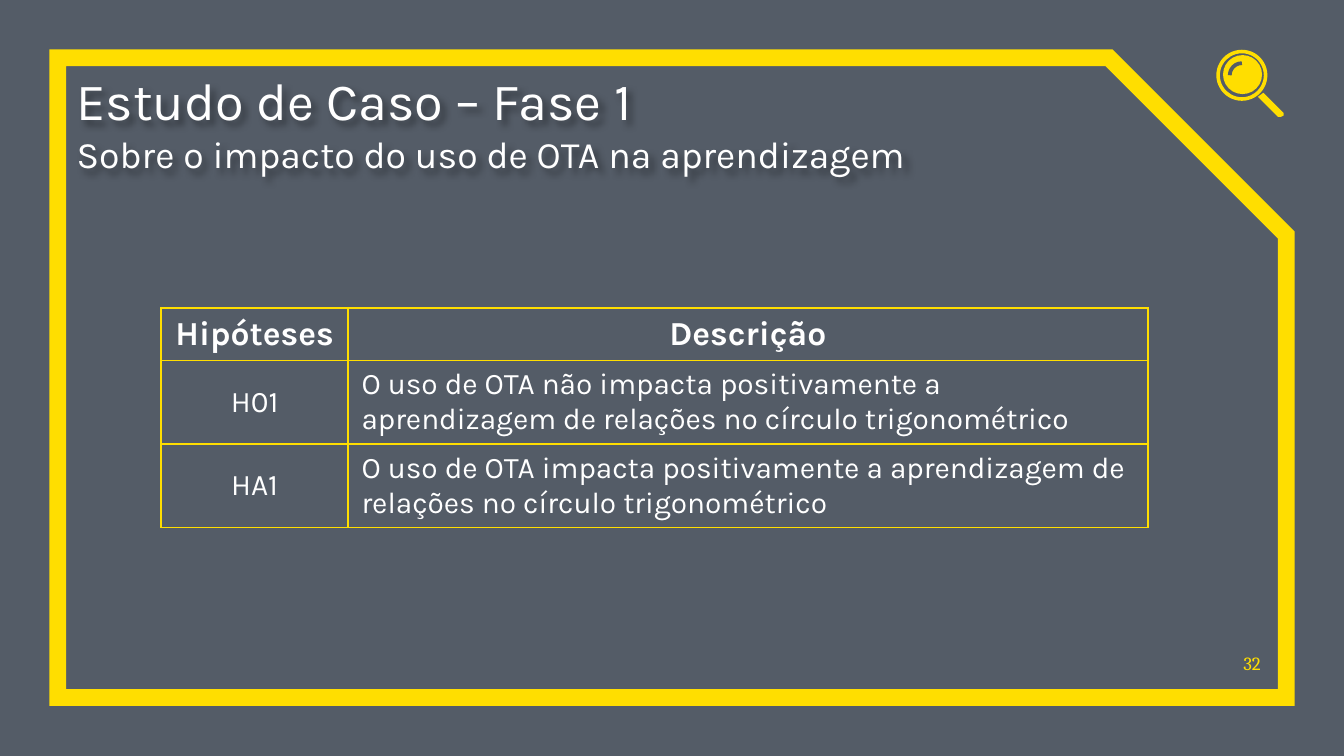
from lxml.etree import SubElement
from pptx import Presentation
from pptx.dml.color import RGBColor
from pptx.enum.shapes import MSO_SHAPE
from pptx.enum.text import MSO_ANCHOR, PP_ALIGN
from pptx.oxml import parse_xml
from pptx.oxml.ns import nsdecls, qn
from pptx.util import Inches, Pt

YELLOW = "FFDE00"
WHITE = "FFFFFF"
NAVY = "040F20"
SLATE = "545C67"
SLIDE_WIDTH = 10
SLIDE_HEIGHT = SLIDE_WIDTH * 9 / 16

HYPOTHESES = [
    ("Hipóteses", "Descrição"),
    ("H01", "O uso de OTA não impacta positivamente a aprendizagem de relações no círculo trigonométrico"),
    ("HA1", "O uso de OTA impacta positivamente a aprendizagem de relações no círculo trigonométrico"),
]


def color(value):
    return RGBColor.from_string(value)


def place(shape, left, top, width, height):
    shape.left, shape.top = Inches(left), Inches(top)
    shape.width, shape.height = Inches(width), Inches(height)


def paint(shape, fill=None, line=None, weight=1):
    shape.shadow.inherit = False
    if fill:
        shape.fill.solid()
        shape.fill.fore_color.rgb = color(fill)
    else:
        shape.fill.background()
    if line:
        shape.line.color.rgb = color(line)
        shape.line.width = Pt(weight)
    else:
        shape.line.fill.background()


def add_preset(slide, kind, box, fill=None, line=None, weight=1, adjustments=()):
    preset = slide.shapes.add_shape(kind, *map(Inches, box))
    for index, value in enumerate(adjustments):
        preset.adjustments[index] = value
    paint(preset, fill, line, weight)
    return preset


def add_run(paragraph, text, size, font="Karla", fill=WHITE, bold=False):
    run = paragraph.add_run()
    run.text = text
    run.font.size = Pt(size)
    run.font.name = font
    run.font.bold = bold
    run.font.color.rgb = color(fill)


def add_soft_shadow(shape):
    shape.element.spPr.append(parse_xml(
        f'<a:effectLst {nsdecls("a")}><a:outerShdw blurRad="50800" dist="38100" dir="2700000" algn="tl">'
        '<a:srgbClr val="000000"><a:alpha val="40000"/></a:srgbClr></a:outerShdw></a:effectLst>'
    ))


def set_frame(text_frame):
    text_frame.word_wrap = True
    text_frame.vertical_anchor = MSO_ANCHOR.BOTTOM
    text_frame.margin_left = text_frame.margin_right = 0
    text_frame.margin_top = text_frame.margin_bottom = 0


def add_backdrop(slide):
    veil = add_preset(slide, MSO_SHAPE.RECTANGLE, (0, 0, SLIDE_WIDTH, SLIDE_HEIGHT), NAVY)
    tint = veil.element.spPr.find(qn("a:solidFill"))[0]
    SubElement(tint, qn("a:alpha"), val="68000")
    border = add_preset(slide, MSO_SHAPE.SNIP_1_RECTANGLE, (0.43, 0.43, 9.14, 4.76),
                        line=YELLOW, weight=9, adjustments=[0.277])
    SubElement(border.element.spPr.find(qn("a:ln")), qn("a:miter"), lim="800000")


def add_magnifier(slide):
    add_preset(slide, MSO_SHAPE.DONUT, (9.05, 0.37, 0.38, 0.38), YELLOW, adjustments=[0.07])
    add_preset(slide, MSO_SHAPE.OVAL, (9.1, 0.41, 0.29, 0.29), YELLOW)
    add_preset(slide, MSO_SHAPE.ARC, (9.15, 0.47, 0.18, 0.18), line=SLATE, weight=2,
               adjustments=[108, 162])
    outline = [(9.4, 0.69), (9.36, 0.72), (9.51, 0.87), (9.53, 0.87), (9.55, 0.86), (9.55, 0.84)]
    start, *rest = [(Inches(x), Inches(y)) for x, y in outline]
    builder = slide.shapes.build_freeform(*start)
    builder.add_line_segments(rest, close=True)
    paint(builder.convert_to_shape(), YELLOW)


def add_title(slide):
    title = slide.shapes.title
    title.element.getparent().append(title.element)
    place(title, 0.57, 0.44, 8.3, 0.87)
    add_soft_shadow(title)
    set_frame(title.text_frame)
    paragraph = title.text_frame.paragraphs[0]
    paragraph.alignment = PP_ALIGN.LEFT
    add_run(paragraph, "Estudo de Caso – Fase 1", 28)
    paragraph.add_line_break()
    SubElement(paragraph._p.find(qn("a:br")), qn("a:rPr"), sz="2800")
    add_run(paragraph, "Sobre o impacto do uso de OTA na aprendizagem", 20)


def add_page_number(slide):
    number = slide.shapes.add_textbox(*map(Inches, (9.11, 4.74, 0.27, 0.28)))
    set_frame(number.text_frame)
    paragraph = number.text_frame.paragraphs[0]
    paragraph.alignment = PP_ALIGN.RIGHT
    add_run(paragraph, "32", 10, "Cambria", YELLOW)


def style_cell(cell):
    properties = cell._tc.get_or_add_tcPr()
    for side in ("lnL", "lnR", "lnT", "lnB"):
        properties.append(parse_xml(
            f'<a:{side} {nsdecls("a")} w="12700"><a:solidFill><a:srgbClr val="{YELLOW}"/>'
            f'</a:solidFill></a:{side}>'
        ))
    cell.fill.background()
    cell.vertical_anchor = MSO_ANCHOR.MIDDLE


def add_hypotheses(slide):
    table = slide.shapes.add_table(3, 2, *map(Inches, (1.2, 2.29, 7.34, 1.63))).table
    for column, width in zip(table.columns, (1.39, 5.95)):
        column.width = Inches(width)
    for row, height in zip(table.rows, (0.39, 0.62, 0.62)):
        row.height = Inches(height)
    for r, texts in enumerate(HYPOTHESES):
        header = r == 0
        for c, text in enumerate(texts):
            cell = table.cell(r, c)
            style_cell(cell)
            paragraph = cell.text_frame.paragraphs[0]
            paragraph.alignment = PP_ALIGN.CENTER if header or c == 0 else PP_ALIGN.LEFT
            add_run(paragraph, text, 18 if header else 16, bold=header)


def main():
    presentation = Presentation()
    presentation.slide_width = Inches(SLIDE_WIDTH)
    presentation.slide_height = Inches(SLIDE_HEIGHT)
    slide = presentation.slides.add_slide(presentation.slide_layouts[5])
    add_backdrop(slide)
    add_page_number(slide)
    add_title(slide)
    add_magnifier(slide)
    add_hypotheses(slide)
    presentation.save("out.pptx")


if __name__ == "__main__":
    main()
